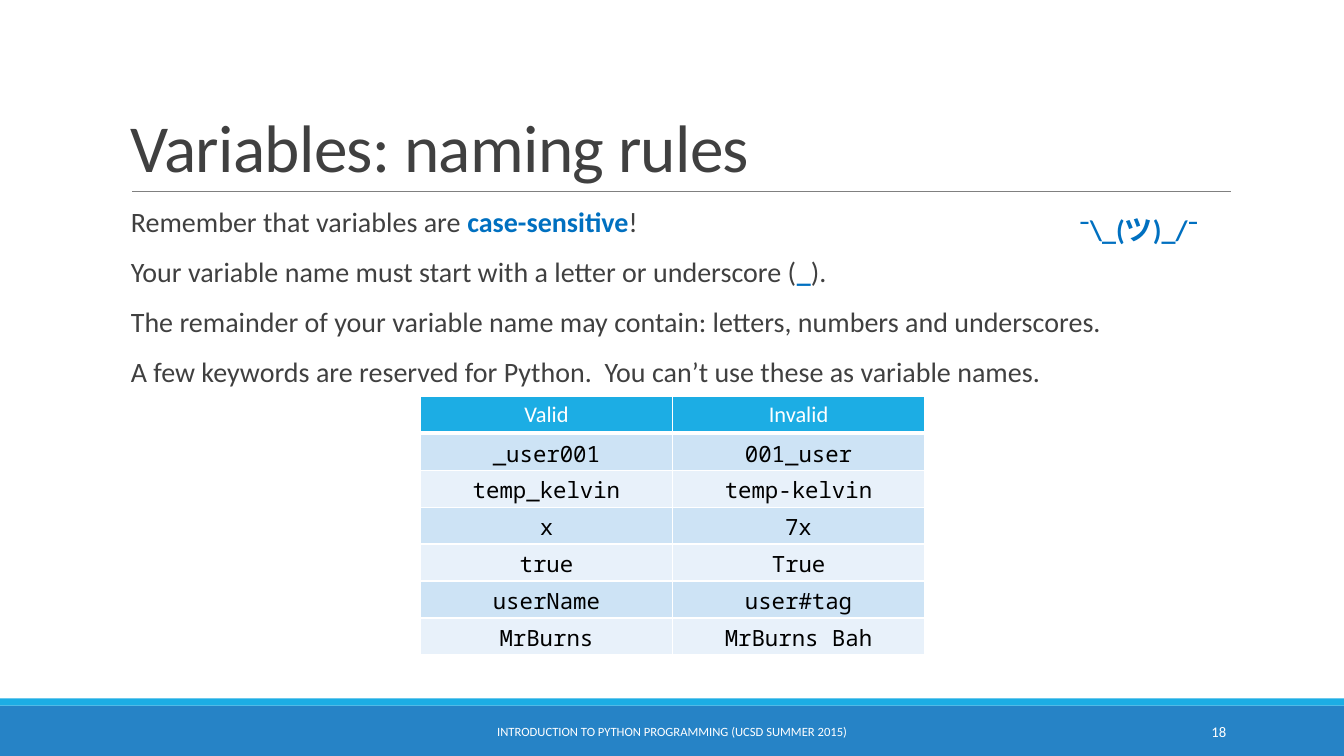
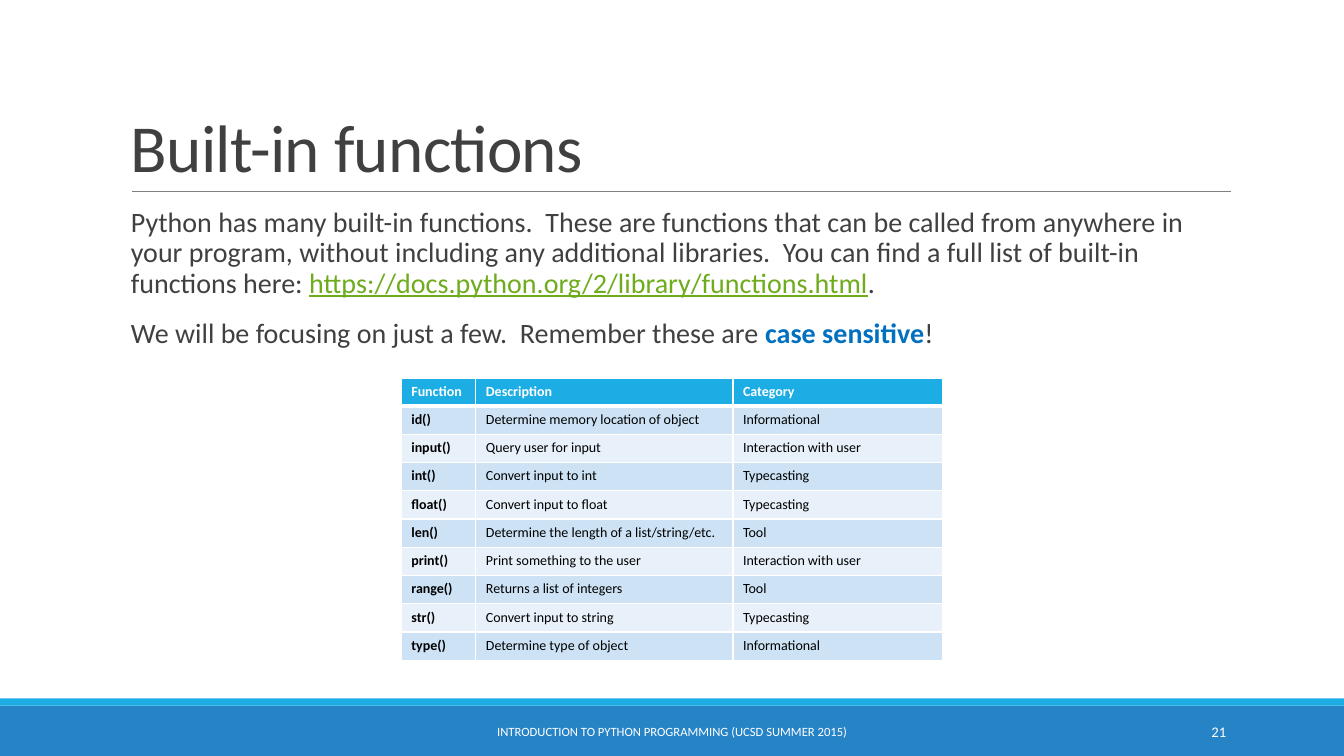
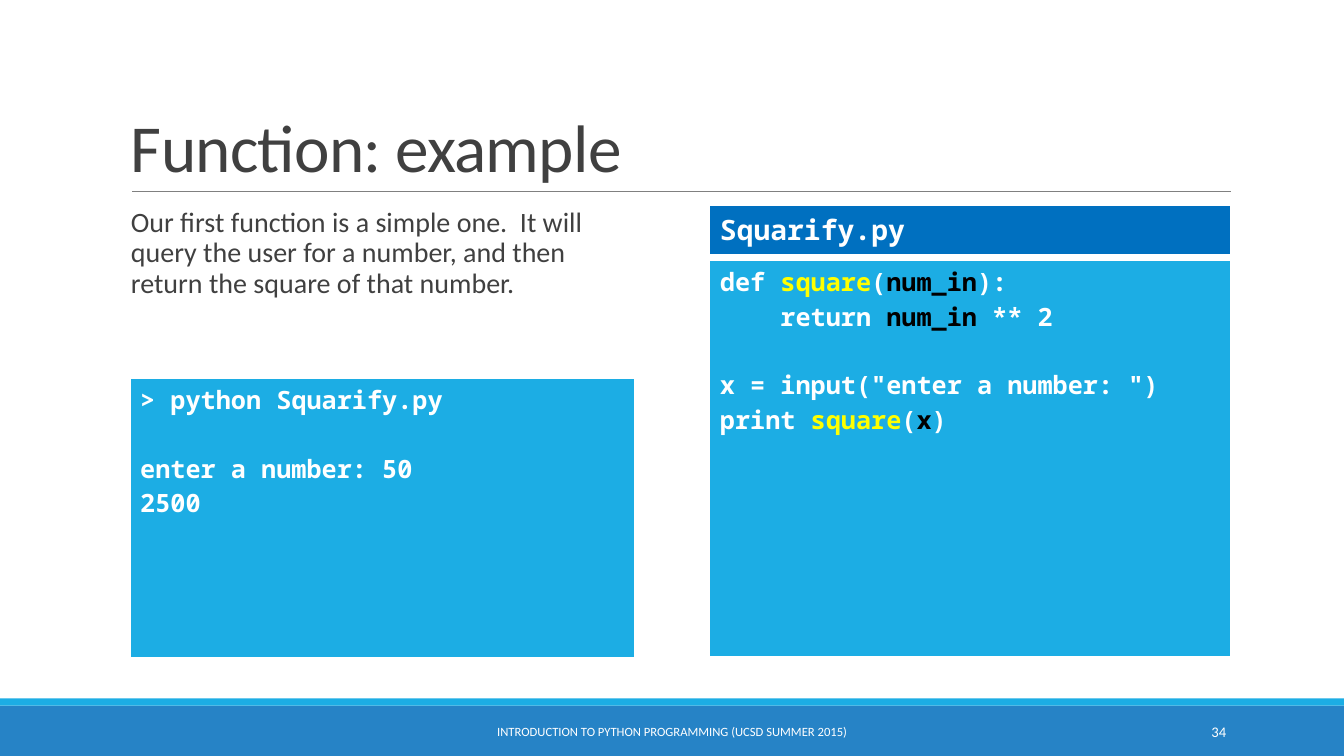
from lxml import etree
from pptx import Presentation
from pptx import util as u
from pptx.dml.color import RGBColor
from pptx.enum import shapes, text
from pptx.oxml.ns import qn

WIDTH, HEIGHT = 13.33, 7.5
LEFT, CONTENT_WIDTH = 1.2, 11
RULE_LEFT, RULE_RIGHT, RULE_Y = 1.31, 12.21, 1.9
BODY_TOP, BODY_HEIGHT = 2.02, 4.4
BAND_TOP, STRIPE_HEIGHT = 7, 0.07

SANS, MONO = "Calibri", "Noto Sans Mono"
WHITE, BLACK, INK, GRAY = "FFFFFF", "000000", "404040", "808080"
SKY, BLUE, DEEP_BLUE = "1CADE4", "2683C6", "0070C0"
GREEN, YELLOW = "6EAC1C", "FFFF00"
ROW_TINTS = ("CDE3F5", "E8F1FA")
FOOTER = "INTRODUCTION TO PYTHON PROGRAMMING (UCSD SUMMER 2015)"

STRONG = dict(color=DEEP_BLUE, bold=True)
LINK = dict(color=GREEN, underline=True)
NAME = dict(color=YELLOW)
ARGUMENT = dict(color=BLACK)
CODE_LINE = 24.5  # points taken by one line of 18 pt code


def rgb(color):
    return RGBColor.from_string(color)


def inches(*lengths):
    return [u.Inches(length) for length in lengths]


def add_run(paragraph, words, size=18, font=SANS, color=INK, bold=False,
            underline=False, tracking=None):
    """Add words to a paragraph; a newline becomes a line break."""
    for number, line in enumerate(words.split("\n")):
        if number:
            paragraph.add_line_break()
        run = paragraph.add_run()
        run.text = line
        run.font.size = u.Pt(size)
        run.font.name = font
        run.font.color.rgb = rgb(color)
        run.font.bold = bold
        run.font.underline = underline
        if tracking is not None:
            run.font._element.set("spc", str(int(tracking * 100)))


def write(frame, paragraphs, align=None, line_spacing=None, gaps=None,
          after=None, **style):
    """Fill a text frame.

    Each paragraph is a string or a list of runs; a run is a string or
    (string, style changes). gaps maps a paragraph's index to its space before.
    """
    for index, runs in enumerate(paragraphs):
        paragraph = frame.add_paragraph() if index else frame.paragraphs[0]
        paragraph.alignment = align
        paragraph.line_spacing = line_spacing
        if gaps and index in gaps:
            paragraph.space_before = u.Pt(gaps[index])
        if after is not None:
            paragraph.space_after = u.Pt(after)
        for run in [runs] if isinstance(runs, str) else runs:
            words, changes = (run, {}) if isinstance(run, str) else run
            add_run(paragraph, words, **{**style, **changes})


def add_text(slide, box, paragraphs, anchor=text.MSO_ANCHOR.TOP, **style):
    frame = slide.shapes.add_textbox(*inches(*box)).text_frame
    frame.word_wrap = True
    frame.vertical_anchor = anchor
    write(frame, paragraphs, **style)


def add_body(slide, paragraphs):
    gaps = {index: 12 for index in range(1, len(paragraphs))}
    add_text(slide, (LEFT, BODY_TOP, CONTENT_WIDTH, BODY_HEIGHT), paragraphs,
             size=20, line_spacing=0.9, gaps=gaps, after=2)


def add_band(slide, top, height, color):
    band = slide.shapes.add_shape(shapes.MSO_SHAPE.RECTANGLE,
                                  *inches(0, top, WIDTH, height))
    band.shadow.inherit = False
    band.fill.solid()
    band.fill.fore_color.rgb = rgb(color)
    band.line.fill.background()


def add_rule(slide):
    rule = slide.shapes.add_connector(
        shapes.MSO_CONNECTOR.STRAIGHT,
        *inches(RULE_LEFT, RULE_Y, RULE_RIGHT, RULE_Y))
    rule.line.color.rgb = rgb(GRAY)
    rule.line.width = u.Pt(0.5)
    etree.SubElement(rule._element.spPr, qn("a:effectLst"))


def add_slide(deck, title, number):
    slide = deck.slides.add_slide(deck.slide_layouts[6])
    add_band(slide, BAND_TOP, HEIGHT - BAND_TOP, BLUE)
    add_band(slide, BAND_TOP - STRIPE_HEIGHT, STRIPE_HEIGHT, SKY)
    add_rule(slide)
    add_text(slide, (LEFT, 0.31, CONTENT_WIDTH, RULE_Y - 0.31), [title],
             anchor=text.MSO_ANCHOR.BOTTOM, size=48, line_spacing=0.85,
             tracking=-0.5)
    for left, width, words, size, align in (
            (10.83, 1.43, str(number), 10.5, text.PP_ALIGN.RIGHT),
            (4.03, 5.27, FOOTER, 9, text.PP_ALIGN.CENTER)):
        add_text(slide, (left, 7.06, width, 0.4), [words], size=size,
                 color=WHITE, align=align, anchor=text.MSO_ANCHOR.MIDDLE)
    return slide


def set_cell(cell, color, bottom=1):
    """Fill a cell and give it white borders, the bottom one in its own width."""
    cell.fill.solid()
    cell.fill.fore_color.rgb = rgb(color)
    properties = cell._tc.get_or_add_tcPr()
    sides = (("L", 1), ("R", 1), ("T", 1), ("B", bottom))
    for place, (side, points) in enumerate(sides):
        border = etree.Element(qn(f"a:ln{side}"), w=str(u.Pt(points)))
        paint = etree.SubElement(border, qn("a:solidFill"))
        etree.SubElement(paint, qn("a:srgbClr"), val=WHITE)
        properties.insert(place, border)


def new_table(slide, left, top, columns, rows):
    """Add a plain table with the given column widths and row heights."""
    table = slide.shapes.add_table(
        len(rows), len(columns),
        *inches(left, top, sum(columns), sum(rows))).table
    table.first_row = table.horz_banding = False
    for column, width in zip(table.columns, columns):
        column.width = u.Inches(width)
    for row, height in zip(table.rows, rows):
        row.height = u.Inches(height)
    return table


def add_grid(slide, left, top, columns, records, header_style, column_styles,
             **style):
    """Add a table with a header row and tinted rows."""
    table = new_table(slide, left, top, columns, [0.28] * len(records))
    for r, record in enumerate(records):
        for c, words in enumerate(record):
            cell = table.cell(r, c)
            if r == 0:
                set_cell(cell, SKY, bottom=3)
                look = dict(color=WHITE, **header_style)
            else:
                set_cell(cell, ROW_TINTS[(r - 1) % 2])
                look = dict(color=BLACK, **column_styles[c])
            write(cell.text_frame, [words], **style, **look)


def add_panel(slide, box, lines, color=SKY, size=18, gaps=None):
    """Add a one-cell table that holds code."""
    left, top, width, height = box
    cell = new_table(slide, left, top, [width], [height]).cell(0, 0)
    set_cell(cell, color, bottom=3)
    write(cell.text_frame, lines, size=size, font=MONO, color=WHITE, bold=True,
          gaps=gaps)


def naming_rules(deck):
    slide = add_slide(deck, "Variables: naming rules", 18)
    add_body(slide, [
        ["Remember that variables are ", ("case-sensitive", STRONG), "!"],
        ["Your variable name must start with a letter or underscore (",
         ("_", STRONG), ")."],
        "The remainder of your variable name may contain: letters, numbers "
        "and underscores.",
        "A few keywords are reserved for Python.  You can’t use these as "
        "variable names.",
    ])
    names = [
        ("Valid", "Invalid"),
        ("_user001", "001_user"),
        ("temp_kelvin", "temp-kelvin"),
        ("x", "7x"),
        ("true", "True"),
        ("userName", "user#tag"),
        ("MrBurns", "MrBurns Bah"),
    ]
    add_grid(slide, 4.17, 3.93, [2.5, 2.5], names, {}, [dict(font=MONO)] * 2,
             size=16, align=text.PP_ALIGN.CENTER)
    add_text(slide, (10.39, 2.06, 1.81, 0.44), ["¯\\_(ツ)_/¯"], size=20,
             align=text.PP_ALIGN.CENTER, **STRONG)


def built_in_functions(deck):
    slide = add_slide(deck, "Built-in functions", 21)
    add_body(slide, [
        ["Python has many built-in functions.  These are functions that can "
         "be called from anywhere in your program, without including any "
         "additional libraries.  You can find a full list of built-in "
         "functions here: ",
         ("https://docs.python.org/2/library/functions.html", LINK), "."],
        ["We will be focusing on just a few.  Remember these are ",
         ("case sensitive", STRONG), "!"],
    ])
    functions = [
        ("Function", "Description", "Category"),
        ("id()", "Determine memory location of object", "Informational"),
        ("input()", "Query user for input", "Interaction with user"),
        ("int()", "Convert input to int", "Typecasting"),
        ("float()", "Convert input to float", "Typecasting"),
        ("len()", "Determine the length of a list/string/etc.", "Tool"),
        ("print()", "Print something to the user", "Interaction with user"),
        ("range()", "Returns a list of integers", "Tool"),
        ("str()", "Convert input to string", "Typecasting"),
        ("type()", "Determine type of object", "Informational"),
    ]
    add_grid(slide, 3.98, 3.75, [0.74, 2.55, 2.08], functions,
             dict(bold=True), [dict(bold=True), {}, {}], size=10)


def function_example(deck):
    slide = add_slide(deck, "Function: example", 34)
    code_left, code_width = 7.04, 5.17
    add_panel(slide, (code_left, 2.58, code_width, 3.95), [
        ["def ", ("square", NAME), "(", ("num_in", ARGUMENT), "):"],
        ["    return ", ("num_in", ARGUMENT), " ** 2"],
        'x = input("enter a number: ")',
        ["print ", ("square", NAME), "(", ("x", ARGUMENT), ")"],
    ], gaps={2: CODE_LINE})
    add_panel(slide, (1.29, 3.75, 5, 2.79),
              ["> python Squarify.py", "enter a number: 50", "2500"],
              gaps={1: CODE_LINE})
    add_panel(slide, (code_left, 2.04, code_width, 0.5), ["Squarify.py"],
              color=DEEP_BLUE, size=20)
    add_body(slide, [
        "Our first function is a simple one.  It will\n"
        "query the user for a number, and then\n"
        "return the square of that number.",
    ])


def main():
    deck = Presentation()
    deck.slide_width, deck.slide_height = inches(WIDTH, HEIGHT)
    naming_rules(deck)
    built_in_functions(deck)
    function_example(deck)
    deck.save("out.pptx")


if __name__ == "__main__":
    main()
